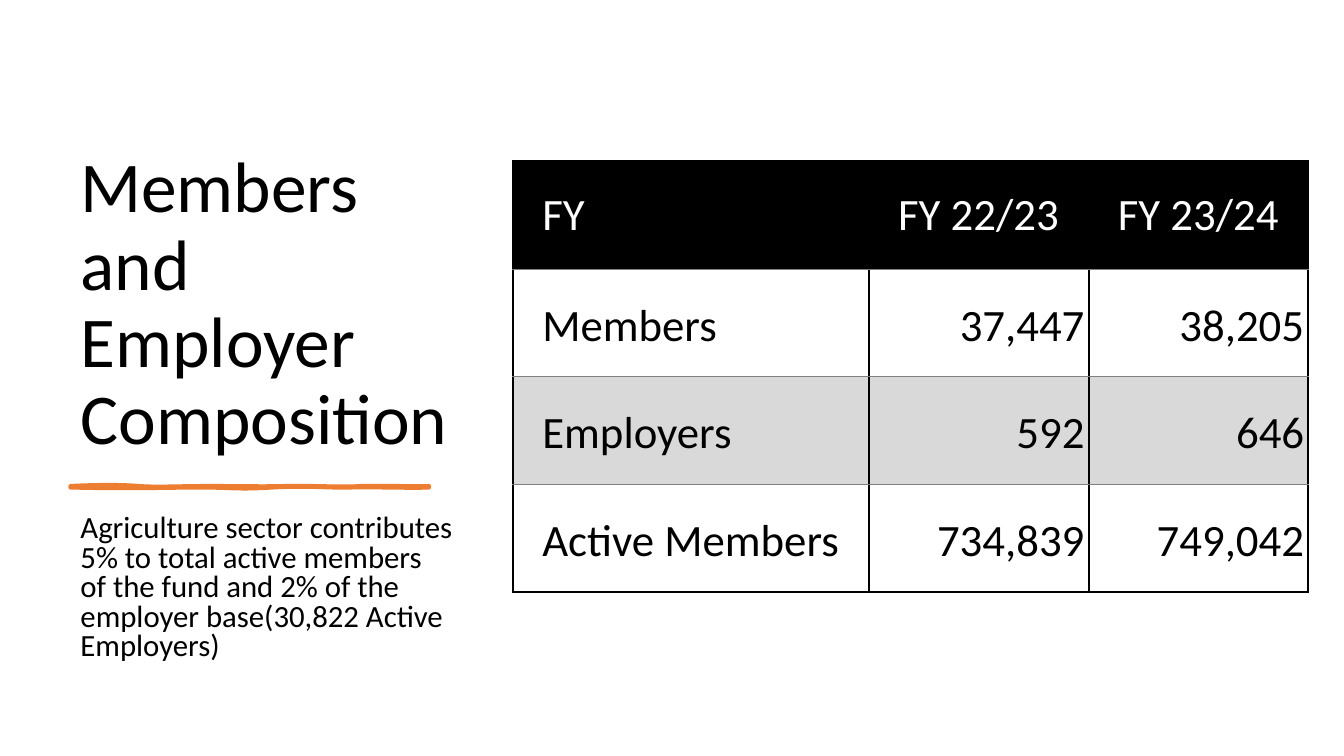
import pptx
import pptx.dml.color
import pptx.enum.text
import pptx.oxml
import pptx.oxml.ns
import pptx.util

Pt = pptx.util.Pt
ANCHOR = pptx.enum.text.MSO_ANCHOR
ALIGN = pptx.enum.text.PP_ALIGN

FONT = "Calibri"
BLACK, WHITE, GREY, BAND, ORANGE = "000000", "FFFFFF", "808080", "D9D9D9", "ED7D31"

TITLE = "Members and Employer Composition"
REMARK = ("Agriculture sector contributes 5% to total active members of the fund "
          "and 2% of the employer base(30,822 Active Employers)")
COMPOSITION = [
    ["FY", "FY 22/23", "FY 23/24"],
    ["Members", "37,447", "38,205"],
    ["Employers", "592", "646"],
    ["Active Members", "734,839", "749,042"],
]

# Brush stroke: each row is one curve (control, control, end) from the box corner
STROKE_EDGE = [
    (19.4, -1.4, 36.7, -1.4, 49, 0), (61.2, 1.4, 77, 0, 100.1, 0),
    (123.1, 0, 136.8, 0.7, 154.1, 0), (171.4, -0.7, 193.7, 1.4, 208.1, 0),
    (222.5, -0.7, 246.2, 0.7, 256.3, 0), (256.3, 0.7, 256.3, 1.4, 256.3, 1.4),
    (243.4, 2.2, 211.7, 0.7, 200.2, 1.4), (188.6, 2.2, 169.2, -0.7, 144, 1.4),
    (118.8, 3.6, 115.9, 1.4, 92.9, 1.4), (69.1, 1.4, 44.6, 2.9, 0, 1.4),
    (0, 1.4, 0, 0.7, 0, 0),
]
STROKE_BODY = [
    (23, 1.4, 28.8, 0.7, 49, 0), (69.1, -0.7, 71.3, -1.4, 92.9, 0),
    (113.8, 1.4, 137.5, 0.7, 149, 0), (160.6, -0.7, 185, 2.2, 197.3, 0),
    (210.2, -1.4, 235.4, 2.9, 256.3, 0), (256.3, 0.7, 256.3, 0.7, 256.3, 1.4),
    (246.2, 1.4, 217.4, 3.6, 205.2, 1.4), (193, 0, 172.1, 1.4, 149, 1.4),
    (125.3, 1.4, 122.4, 1.4, 105.1, 1.4), (88.6, 2.2, 78.5, 0.7, 54, 1.4),
    (29.5, 2.2, 15.8, 1.4, 0, 1.4), (0, 0.7, 0, 0.7, 0, 0),
]


def colour(hex_value):
    return pptx.dml.color.RGBColor.from_string(hex_value)


def apply_format(target, values):
    for name, value in values.items():
        setattr(target, name, value)


def write(frame, words, size, ink, frame_format, paragraph_format):
    apply_format(frame, frame_format)
    paragraph = frame.paragraphs[0]
    apply_format(paragraph, paragraph_format)
    run = paragraph.add_run()
    run.text = words
    apply_format(run.font, {"name": FONT, "size": Pt(size)})
    run.font.color.rgb = colour(ink)


def add_words(slide, box, words, size, anchor, paragraph_format):
    textbox = slide.shapes.add_textbox(*map(Pt, box))
    frame_format = {"word_wrap": True, "vertical_anchor": anchor, "margin_right": Pt(8)}
    write(textbox.text_frame, words, size, BLACK, frame_format, paragraph_format)


def curved_outline(curves, width, height, paint):
    """Path of cubic curves that starts and ends at the corner of the box."""
    bends = ""
    for curve in curves:
        points = zip(curve[::2], curve[1::2])
        bends += "<a:cubicBezTo>" + "".join(
            f'<a:pt x="{Pt(x)}" y="{Pt(y)}"/>' for x, y in points) + "</a:cubicBezTo>"
    return pptx.oxml.parse_xml(
        f'<a:path {pptx.oxml.ns.nsdecls("a")} w="{Pt(width)}" h="{Pt(height)}" {paint}>'
        f'<a:moveTo><a:pt x="0" y="0"/></a:moveTo>{bends}<a:close/></a:path>')


def add_brush_stroke(slide, box):
    left, top, width, height = box
    builder = slide.shapes.build_freeform(0, 0, scale=Pt(1))
    builder.add_line_segments([(width, 0), (width, height), (0, height)], close=True)
    stroke = builder.convert_to_shape(Pt(left), Pt(top))
    stroke.shadow.inherit = False
    for fill in (stroke.fill, stroke.line.fill):
        fill.solid()
        fill.fore_color.rgb = colour(ORANGE)
    stroke.line.width = Pt(3)

    # Bend the straight outline into a drawn edge and a filled body
    outlines = stroke._element.find(".//" + pptx.oxml.ns.qn("a:pathLst"))
    outlines.remove(outlines[0])
    outlines.append(curved_outline(STROKE_EDGE, width, height, 'fill="none"'))
    outlines.append(curved_outline(STROKE_BODY, width, height, 'stroke="0"'))


def set_borders(cell, top, bottom):
    side = (BLACK, 1.5)
    edges = {"lnL": side, "lnR": side, "lnT": top, "lnB": bottom}
    properties = cell._tc.get_or_add_tcPr()
    for position, (tag, (ink, width)) in enumerate(edges.items()):
        properties.insert(position, pptx.oxml.parse_xml(
            f'<a:{tag} {pptx.oxml.ns.nsdecls("a")} w="{Pt(width)}">'
            f'<a:solidFill><a:srgbClr val="{ink}"/></a:solidFill></a:{tag}>'))


def add_composition_table(slide, box):
    left, top, width, height = box
    last = len(COMPOSITION) - 1
    table = slide.shapes.add_table(
        len(COMPOSITION), len(COMPOSITION[0]), *map(Pt, box)).table
    label_width = 254.2
    year_width = (width - label_width) / 2
    for column, column_width in zip(table.columns, (label_width, year_width, year_width)):
        column.width = Pt(column_width)

    for r, entries in enumerate(COMPOSITION):
        table.rows[r].height = Pt(height / len(COMPOSITION))
        for c, words in enumerate(entries):
            cell = table.cell(r, c)
            apply_format(cell, {
                "margin_left": Pt(20.9), "margin_right": Pt(2.9),
                "margin_top": Pt(16.6), "margin_bottom": Pt(16.6),
                "vertical_anchor": ANCHOR.BOTTOM if r else ANCHOR.MIDDLE})
            is_figure = r > 0 and c > 0
            write(cell.text_frame, words, 32, BLACK if r else WHITE, {},
                  {"alignment": ALIGN.RIGHT if is_figure else ALIGN.LEFT})

            # Header black, every second body row banded
            shade = BLACK if r == 0 else BAND if r == 2 else None
            if shade:
                cell.fill.solid()
                cell.fill.fore_color.rgb = colour(shade)
            else:
                cell.fill.background()
            outer, inner = (BLACK, 1.5), (GREY, 0.5)
            set_borders(cell, outer if r == 0 else inner, outer if r == last else inner)


def add_message(slide, box):
    left, top, width, height = box
    # Title above the stroke, remark below it
    add_words(slide, (left, top, width, 281.5), TITLE, 51, ANCHOR.BOTTOM,
              {"line_spacing": 0.9})
    add_words(slide, (left, top + 313.9, width, height - 313.9), REMARK, 22, ANCHOR.TOP,
              {"line_spacing": 0.8, "space_before": Pt(10)})
    add_brush_stroke(slide, (left, top + 296.8, 256.3, 1.4))


def main():
    presentation = pptx.Presentation()
    apply_format(presentation, {"slide_width": Pt(960), "slide_height": Pt(540)})
    slide = presentation.slides.add_slide(presentation.slide_layouts[6])
    add_message(slide, (50.4, 50.4, 281.5, 437))
    add_composition_table(slide, (366.5, 115.2, 568.1, 307.4))
    presentation.save("out.pptx")


if __name__ == "__main__":
    main()
